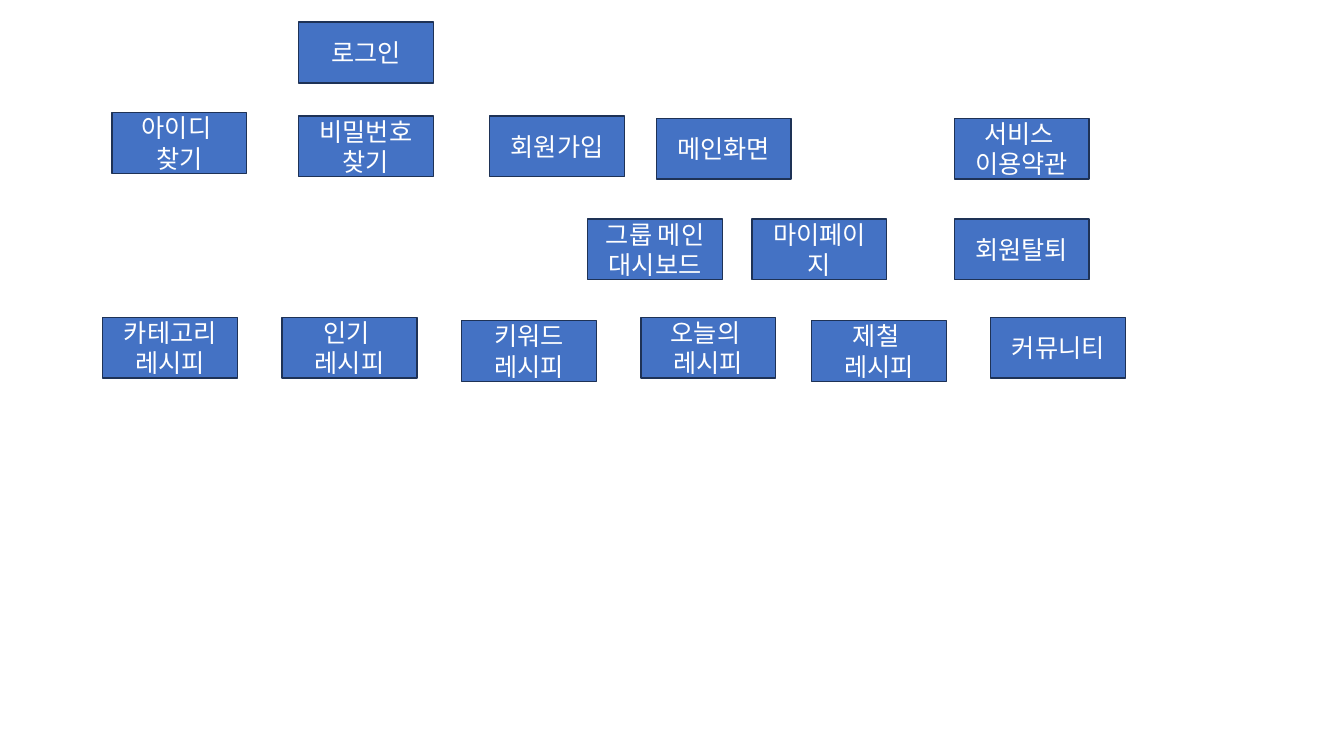
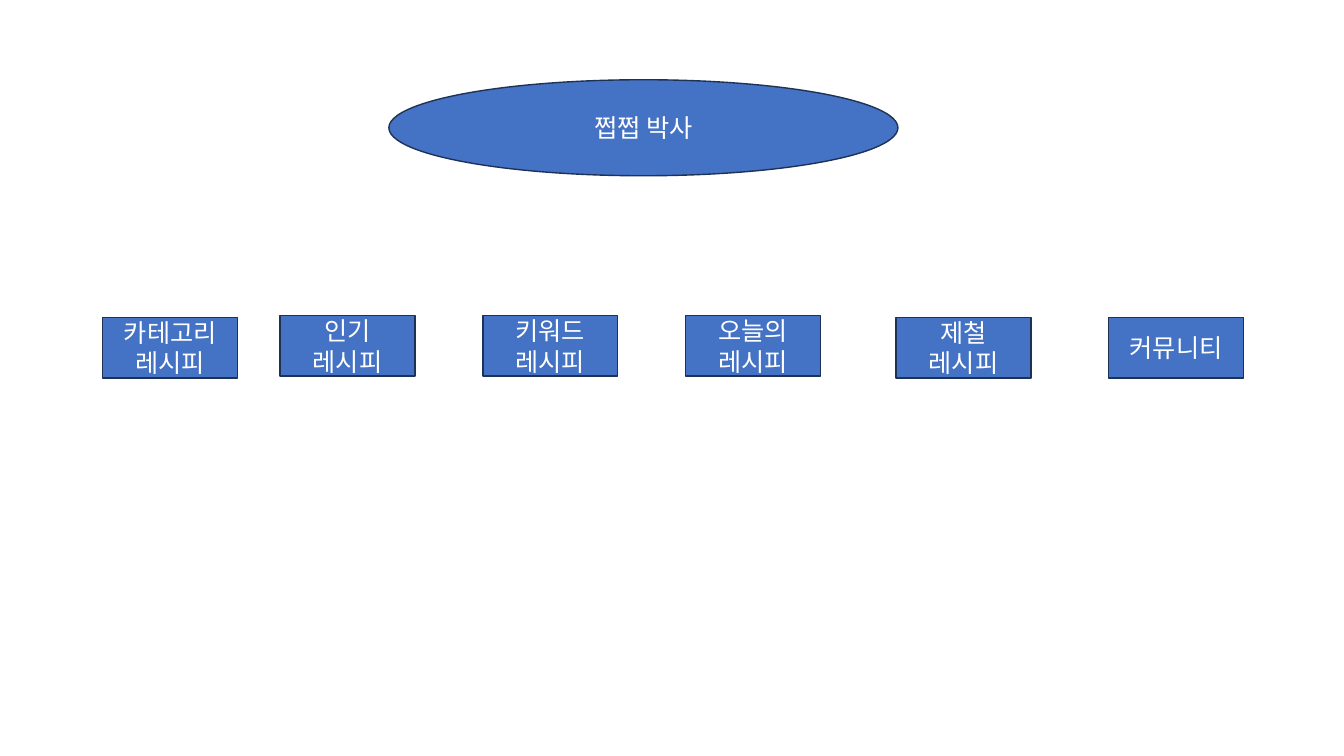
from lxml import etree
from pptx import Presentation
from pptx.dml.color import RGBColor
from pptx.enum.shapes import MSO_SHAPE
from pptx.enum.text import MSO_ANCHOR, PP_ALIGN
from pptx.oxml.ns import qn
from pptx.util import Cm, Pt

RECTANGLE, OVAL = MSO_SHAPE.RECTANGLE, MSO_SHAPE.OVAL
MIDDLE, CENTER = MSO_ANCHOR.MIDDLE, PP_ALIGN.CENTER

# Shared style
COLORS = {"fill": "4472C4", "line": "1E3256", "text": "FFFFFF"}
FONT_NAME = "Noto Sans CJK KR"
FONT_FORMAT = {"name": FONT_NAME, "size": Pt(18)}
FRAME_FORMAT = {"word_wrap": True, "vertical_anchor": MIDDLE}
BOX_WIDTH, BOX_HEIGHT = 3.4, 1.53
BLANK_LAYOUT = 6


def add_box(page, lines, left, top, width=BOX_WIDTH, height=BOX_HEIGHT, kind=RECTANGLE):
    """Draw a filled shape with one centred paragraph per line; lengths in cm."""
    box = page.shapes.add_shape(kind, Cm(left), Cm(top), Cm(width), Cm(height))
    box.shadow.inherit = False
    box.fill.solid()
    box.fill.fore_color.rgb = RGBColor.from_string(COLORS["fill"])
    box.line.color.rgb = RGBColor.from_string(COLORS["line"])
    box.line.width = Pt(1)
    frame = box.text_frame
    for name, value in FRAME_FORMAT.items():
        setattr(frame, name, value)
    for index, line in enumerate(lines):
        para = frame.add_paragraph() if index else frame.paragraphs[0]
        para.alignment = CENTER
        span = para.add_run()
        span.text = line
        for name, value in FONT_FORMAT.items():
            setattr(span.font, name, value)
        span.font.color.rgb = RGBColor.from_string(COLORS["text"])
        # Korean text takes the East Asian typeface
        properties = span._r.get_or_add_rPr()
        etree.SubElement(properties, qn("a:ea"), typeface=FONT_NAME)


# Screens of each slide: lines, left, top
SCREEN_MAP = [
    # Login and account
    (["로그인"], 7.52, 0.56),
    (["아이디 ", "찾기"], 2.82, 2.84),
    (["비밀번호 찾기"], 7.52, 2.92),
    (["회원가입"], 12.34, 2.92),
    (["메인화면"], 16.54, 2.98),
    (["서비스 ", "이용약관"], 24.05, 2.98),
    # Group and personal pages
    (["그룹 메인 대시보드"], 14.81, 5.52),
    (["마이페이지"], 18.95, 5.52),
    (["회원탈퇴"], 24.05, 5.52),
    # Recipes and community
    (["카테고리", "레시피"], 2.59, 8),
    (["인기 ", "레시피"], 7.11, 8),
    (["키워드", "레시피"], 11.63, 8.08),
    (["오늘의 ", "레시피"], 16.15, 8),
    (["제철 ", "레시피"], 20.45, 8.08),
    (["커뮤니티"], 24.97, 8),
]
MAIN_MENU = [
    (["카테고리", "레시피"], 2.59, 8),
    (["인기", "레시피"], 7.06, 7.95),
    (["키워드", "레시피"], 12.17, 7.95),
    (["오늘의", "레시피"], 17.28, 7.95),
    (["제철", "레시피"], 22.58, 8),
    (["커뮤니티"], 27.94, 8),
]

deck = Presentation()
deck.slide_width, deck.slide_height = Cm(33.87), Cm(19.05)

# Box slides
pages = []
for boxes in (SCREEN_MAP, MAIN_MENU):
    page = deck.slides.add_slide(deck.slide_layouts[BLANK_LAYOUT])
    pages.append(page)
    for lines, left, top in boxes:
        add_box(page, lines, left, top)

# Service name above the main menu
add_box(pages[1], ["쩝쩝 박사"], 9.8, 2.01, 12.83, 2.42, OVAL)

deck.save("out.pptx")
